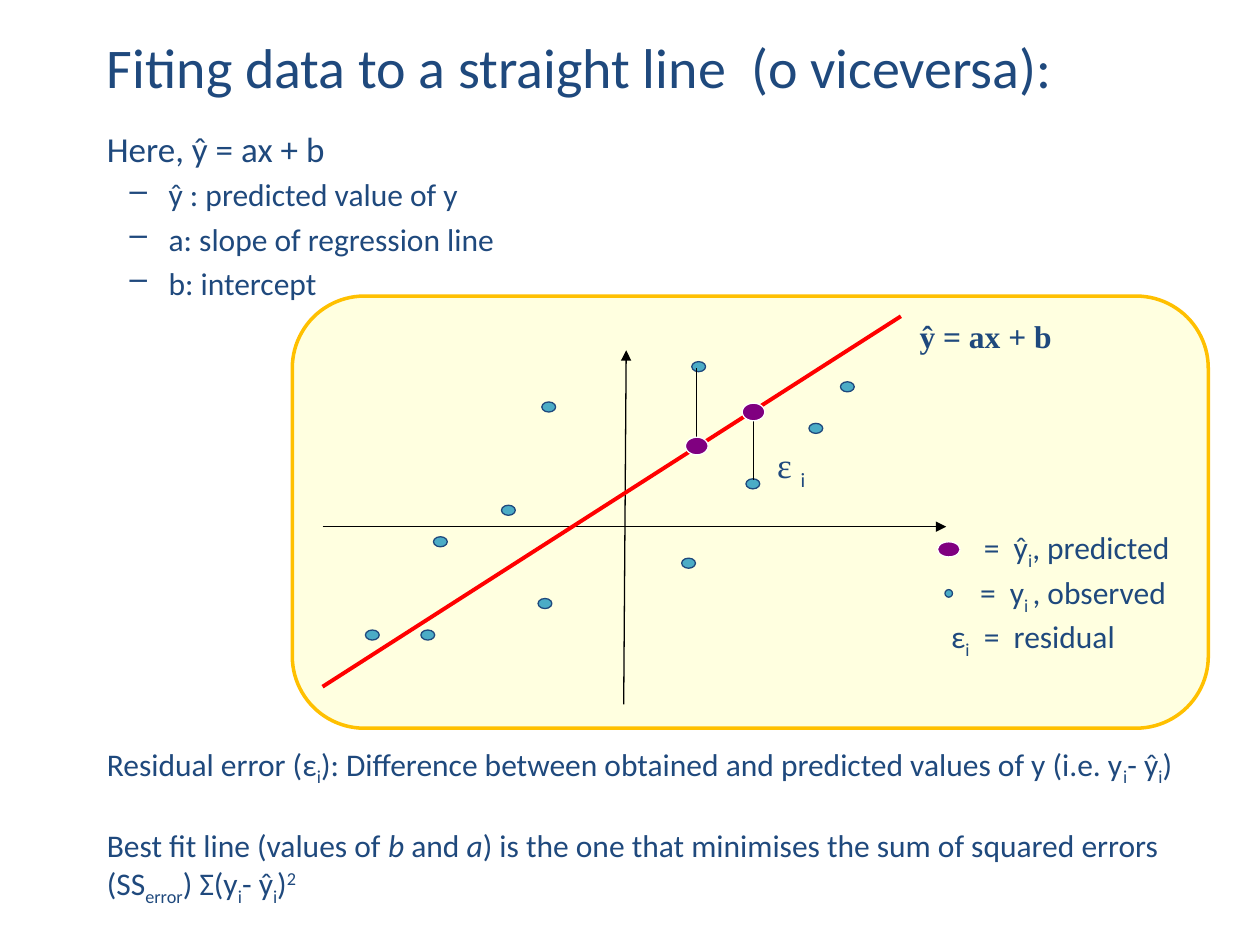
from lxml.etree import SubElement
from pptx import Presentation
from pptx.dml.color import RGBColor
from pptx.enum.shapes import MSO_CONNECTOR, MSO_SHAPE
from pptx.oxml.ns import qn
from pptx.util import Inches, Pt

COLORS = {k: RGBColor.from_string(v) for k, v in {
    "text": "1F497D", "panel": "FFFF99", "border": "FFC000", "axis": "000000",
    "fit": "FF0000", "observed": "4BACC6", "predicted": "800080", "white": "FFFFFF",
}.items()}
BASELINES = {"sub": "-25000", "super": "30000"}

prs = Presentation()
prs.slide_width, prs.slide_height = Inches(10), Inches(7.5)
slide = prs.slides.add_slide(prs.slide_layouts[6])


def add_text(left, top, width, height, paragraphs, size=18, font="Calibri", bold=None):
    """Each paragraph is a list of (text, style) runs."""
    box = slide.shapes.add_textbox(*map(Inches, (left, top, width, height)))
    frame = box.text_frame
    frame.word_wrap = True
    for i, runs in enumerate(paragraphs):
        p = frame.paragraphs[0] if i == 0 else frame.add_paragraph()
        p.font.size, p.font.name, p.font.bold = Pt(size), font, bold
        p.font.color.rgb = COLORS["text"]
        for text, style in runs:
            run = p.add_run()
            run.text = text
            if style == "italic":
                run.font.italic = True
            elif style:
                run.font._element.set("baseline", BASELINES[style])
    return frame.paragraphs


def add_figure(kind, left, top, width, height, fill, line, weight=0.75):
    figure = slide.shapes.add_shape(kind, *map(Inches, (left, top, width, height)))
    figure.shadow.inherit = False
    figure.fill.solid()
    figure.fill.fore_color.rgb = COLORS[fill]
    figure.line.color.rgb = COLORS[line]
    figure.line.width = Pt(weight)
    return figure


# Panel behind the plot
panel = add_figure(MSO_SHAPE.ROUNDED_RECTANGLE, 2.32, 2.35, 7.27, 3.43, "panel", "border", 2)
panel_color = panel.fill._xPr.find(qn("a:solidFill"))[0]
SubElement(panel_color, qn("a:alpha"), val="30000")

# Title
add_text(0.75, 0.21, 8.98, 1.25,
         [[("Fiting data to a straight line  (o viceversa):", None)]], size=32)

# Equation and its terms
equation, *terms = add_text(0.75, 0.96, 8.5, 2.3, [
    [("Here, ŷ = ax + b", None)],
    [("ŷ : predicted value of y", None)],
    [("a: slope of regression line", None)],
    [("b: intercept", None)],
])
equation.font.size = Pt(20)
for term in terms:
    term.space_before = Pt(3.6)
    properties = term._p.get_or_add_pPr()
    properties.set("marL", str(Inches(0.49)))
    properties.set("indent", str(Inches(-0.31)))
    bullet = SubElement(properties, qn("a:buChar"), char="–")
    properties.find(qn("a:defRPr")).addprevious(bullet)

# Explanation under the plot
residual_error, best_fit = add_text(0.75, 5.86, 8.76, 1.31, [
    [("Residual error (ε", None), ("i", "sub"),
     ("): Difference between obtained and predicted values of y (i.e. y", None),
     ("i", "sub"), ("- ŷ", None), ("i", "sub"), (")", None)],
    [("Best fit line (values of ", None), ("b", "italic"), (" and ", None), ("a", "italic"),
     (") is the one that minimises the sum of squared errors (SS", None),
     ("error", "sub"), (") Σ(y", None), ("i", "sub"), ("- ŷ", None), ("i", "sub"),
     (")", None), ("2", "super")],
])
best_fit.space_before = Pt(22)

# Observed points
for left, top in [(6.67, 3.03), (4.27, 4.75), (3.44, 4.26), (2.9, 5), (5.92, 3.8),
                  (5.41, 4.43), (6.42, 3.36), (3.34, 5), (5.49, 2.87), (3.98, 4.01),
                  (4.3, 3.19)]:
    add_figure(MSO_SHAPE.OVAL, left, top, 0.11, 0.08, "observed", "text")

# Axes, regression line and residuals
for x1, y1, x2, y2, color, weight, arrow in [
    (4.95, 5.59, 4.97, 2.78, "axis", 0.75, True),
    (2.56, 4.18, 7.51, 4.18, "axis", 0.75, True),
    (7.15, 2.51, 2.56, 5.45, "fit", 2.25, False),
    (5.98, 3.81, 5.98, 3.27, "axis", 0.75, False),
    (5.53, 2.92, 5.53, 3.54, "axis", 0.75, False),
]:
    line = slide.shapes.add_connector(MSO_CONNECTOR.STRAIGHT, *map(Inches, (x1, y1, x2, y2)))
    line.line.color.rgb = COLORS[color]
    line.line.width = Pt(weight)
    if arrow:
        SubElement(line.line._get_or_add_ln(), qn("a:tailEnd"), type="triangle")
    SubElement(line._element.spPr, qn("a:effectLst"))

# Predicted points, the last one for the legend
for left, top, height in [(5.44, 3.47, 0.14), (5.89, 3.2, 0.14), (7.44, 4.3, 0.12)]:
    add_figure(MSO_SHAPE.OVAL, left, top, 0.18, height, "predicted", "white")

# Residual label
residual_label, = add_text(6.07, 3.47, 0.49, 0.48, [[("ε ", None), ("i", "sub")]], size=20)
residual_label.runs[0].font.name = "Times New Roman"

# Legend
add_figure(MSO_SHAPE.OVAL, 7.5, 4.68, 0.06, 0.06, "observed", "text")
add_text(7.71, 4.14, 2.02, 0.16, [[("=  ŷ", None), ("i", "sub"), (", predicted", None)]])
add_text(7.68, 4.5, 2.13, 0.2, [[("=  y", None), ("i ", "sub"), (", observed", None)]])
add_text(7.45, 4.85, 2.06, 0.31, [[("ε", None), ("i", "sub"), ("  =  residual", None)]])

# Regression line label
add_text(7.2, 2.47, 1.63, 0.4, [[("ŷ = ax + b", None)]], font="Times New Roman", bold=True)

prs.save("out.pptx")
